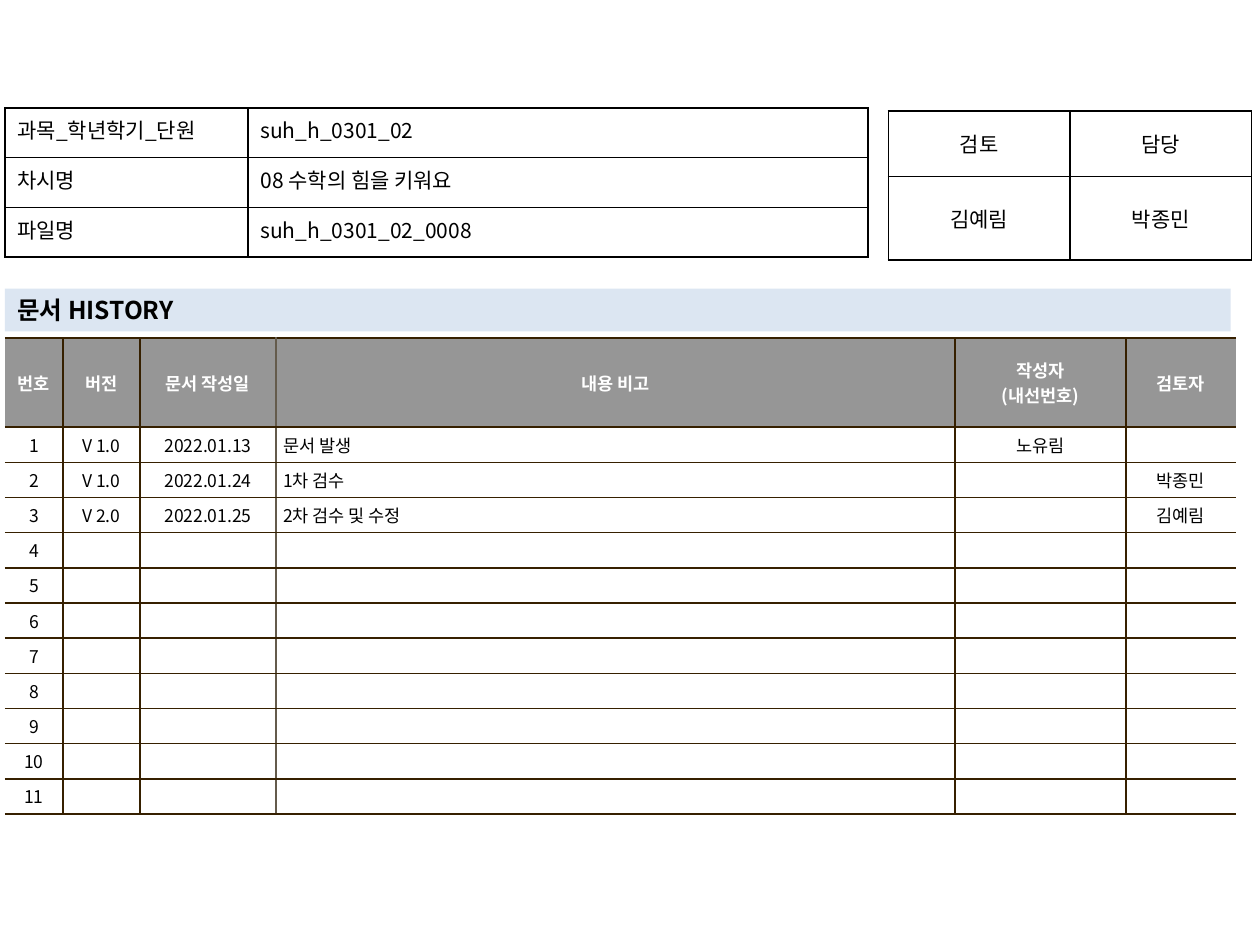
from dataclasses import dataclass
from typing import Optional

from lxml import etree
from pptx import Presentation
from pptx.dml.color import RGBColor
from pptx.enum import shapes, text
from pptx.oxml import ns
from pptx.util import Cm, Pt

FONT = "Noto Sans CJK KR"
BLACK = RGBColor(0x00, 0x00, 0x00)
WHITE = RGBColor(0xFF, 0xFF, 0xFF)
GRAY = RGBColor(0x96, 0x96, 0x96)
PALE_BLUE = RGBColor(0xDC, 0xE6, 0xF2)
BROWN = RGBColor(0x36, 0x20, 0x00)
TAUPE = RGBColor(0x64, 0x5B, 0x4C)

LEFT, CENTER, JUSTIFY = text.PP_ALIGN.LEFT, text.PP_ALIGN.CENTER, text.PP_ALIGN.JUSTIFY
TOP, MIDDLE = text.MSO_ANCHOR.TOP, text.MSO_ANCHOR.MIDDLE


@dataclass
class Grid:
    left: float
    top: float
    widths: list[float]
    heights: list[float]
    rows: list[list[str]]
    aligns: list[text.PP_ALIGN]
    anchor: text.MSO_ANCHOR
    margins: tuple[float, float]
    size: int
    line: RGBColor


@dataclass
class CellLook:
    fill: Optional[RGBColor]
    color: RGBColor
    bold: bool
    borders: dict[str, RGBColor]


def style_text(frame, size: int, color: RGBColor, bold: bool, align: text.PP_ALIGN) -> None:
    for para in frame.paragraphs:
        para.alignment = align
        for span in para.runs:
            span.font.size = Pt(size)
            span.font.bold = bold
            span.font.name = FONT
            span.font.color.rgb = color
            props = span.font._element
            etree.SubElement(props, ns.qn("a:ea"), typeface=FONT)
        if not para.runs:
            # An empty cell still needs its text size to keep the row low
            etree.SubElement(para._p, ns.qn("a:endParaRPr"), sz=str(size * 100))


def set_borders(cell, borders: dict[str, RGBColor]) -> None:
    props = cell._tc.get_or_add_tcPr()
    for index, side in enumerate("LRTB"):
        line = etree.Element(ns.qn(f"a:ln{side}"), w=str(Pt(1)))
        if side in borders:
            solid = etree.SubElement(line, ns.qn("a:solidFill"))
            etree.SubElement(solid, ns.qn("a:srgbClr"), val=str(borders[side]))
        else:
            etree.SubElement(line, ns.qn("a:noFill"))
        props.insert(index, line)


def plain_look(grid: Grid, row: int, column: int) -> CellLook:
    return CellLook(None, BLACK, False, dict.fromkeys("LRTB", grid.line))


def history_look(grid: Grid, row: int, column: int) -> CellLook:
    borders = dict.fromkeys("LRTB", grid.line)
    # The outer sides are open, and the line before the remarks is lighter
    if column == 0:
        del borders["L"]
    if column == len(grid.widths) - 1:
        del borders["R"]
    if column == 2:
        borders["R"] = TAUPE
    if column == 3:
        borders["L"] = TAUPE
    header = row == 0
    return CellLook(GRAY if header else WHITE, WHITE if header else BLACK, header, borders)


def draw_grid(page, grid: Grid, look_of) -> None:
    frame = page.shapes.add_table(
        len(grid.heights), len(grid.widths), Cm(grid.left), Cm(grid.top),
        Cm(sum(grid.widths)), Cm(sum(grid.heights)))
    table = frame.table
    table.first_row = table.horz_banding = False
    for column, width in zip(table.columns, grid.widths):
        column.width = Cm(width)
    for row, height in zip(table.rows, grid.heights):
        row.height = Cm(height)
    side, edge = (Cm(margin) for margin in grid.margins)
    for r, words in enumerate(grid.rows):
        for c, word in enumerate(words):
            cell, look = table.cell(r, c), look_of(grid, r, c)
            cell.margin_left = cell.margin_right = side
            cell.margin_top = cell.margin_bottom = edge
            cell.vertical_anchor = grid.anchor
            if look.fill is None:
                cell.fill.background()
            else:
                cell.fill.solid()
                cell.fill.fore_color.rgb = look.fill
            set_borders(cell, look.borders)
            cell.text_frame.text = word
            align = CENTER if look.bold else grid.aligns[c]
            style_text(cell.text_frame, grid.size, look.color, look.bold, align)


def draw_heading(page, words: str) -> None:
    box = page.shapes.add_shape(
        shapes.MSO_SHAPE.RECTANGLE, Cm(0.1), Cm(5.82), Cm(24.71), Cm(0.86))
    box.shadow.inherit = False
    box.fill.solid()
    box.fill.fore_color.rgb = PALE_BLUE
    box.line.fill.background()
    box.text_frame.word_wrap = True
    box.text_frame.vertical_anchor = MIDDLE
    box.text_frame.margin_top = box.text_frame.margin_bottom = 0
    box.text_frame.text = words
    style_text(box.text_frame, 14, BLACK, True, LEFT)


ENTRIES = [
    ["V 1.0", "2022.01.13", "문서 발생", "노유림", ""],
    ["V 1.0", "2022.01.24", "1차 검수", "", "박종민"],
    ["V 2.0", "2022.01.25", "2차 검수 및 수정", "", "김예림"],
]
ENTRY_COUNT = 11
HEADER = ["번호", "버전", "문서 작성일", "내용 비고", "작성자\n(내선번호)", "검토자"]
BLANKS = [[""] * 5] * (ENTRY_COUNT - len(ENTRIES))

HISTORY = Grid(
    0.1, 6.81, [1.17, 1.55, 2.74, 13.69, 3.45, 2.21], [1.8] + [0.64] * ENTRY_COUNT,
    [HEADER] + [[str(n), *entry] for n, entry in enumerate(ENTRIES + BLANKS, 1)],
    [CENTER, CENTER, CENTER, LEFT, CENTER, CENTER], MIDDLE, (0.15, 0.1), 10, BROWN)

APPROVAL = Grid(
    17.91, 2.24, [3.66, 3.66], [1.32, 1.68],
    [["검토", "담당"], ["김예림", "박종민"]],
    [CENTER, CENTER], MIDDLE, (0.25, 0.13), 12, BLACK)

LESSON = Grid(
    0.1, 2.18, [4.9, 12.5], [1.0] * 3,
    [["과목_학년학기_단원", "suh_h_0301_02"],
     ["차시명", "08 수학의 힘을 키워요"],
     ["파일명", "suh_h_0301_02_0008"]],
    [JUSTIFY, LEFT], TOP, (0.25, 0.13), 12, BLACK)


def main() -> None:
    deck = Presentation()
    deck.slide_width, deck.slide_height = Cm(25.4), Cm(19.05)
    page = deck.slides.add_slide(deck.slide_layouts[6])

    # Revision history, approval and lesson tables
    draw_grid(page, HISTORY, history_look)
    draw_grid(page, APPROVAL, plain_look)
    draw_heading(page, "문서 HISTORY")
    draw_grid(page, LESSON, plain_look)

    deck.save("out.pptx")


if __name__ == "__main__":
    main()
